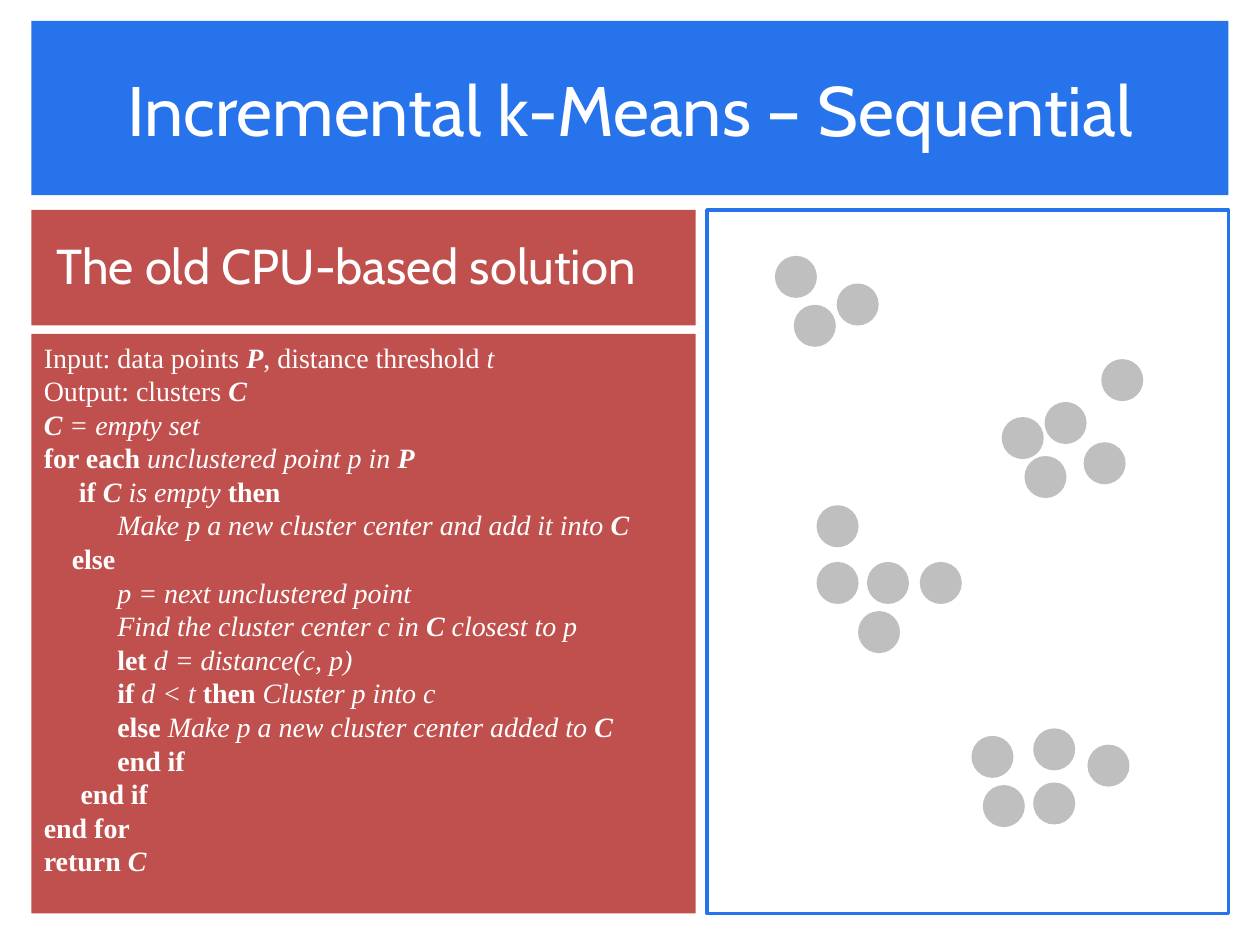
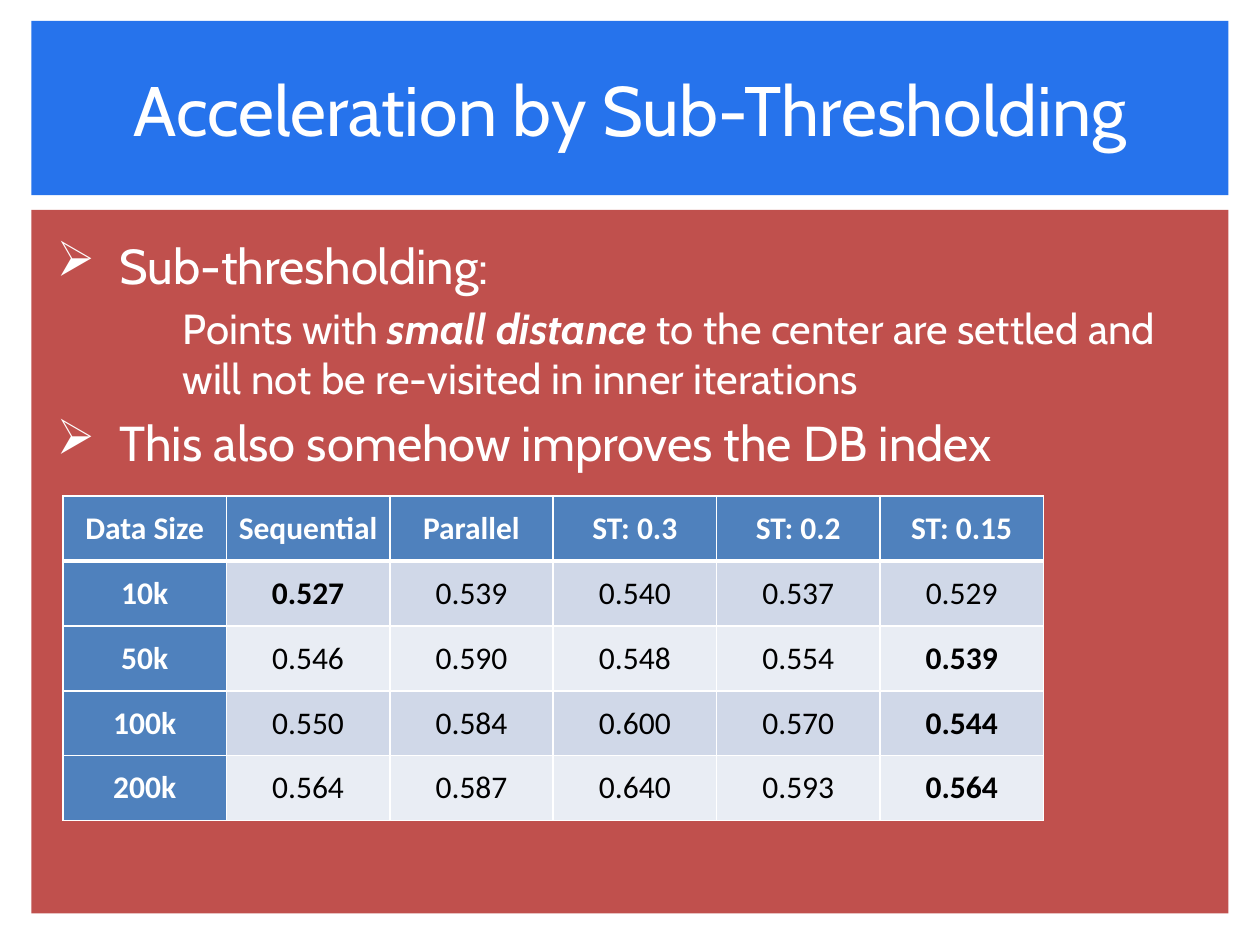
from dataclasses import dataclass
from typing import NamedTuple

from lxml import etree
from pptx import Presentation
from pptx.dml.color import RGBColor
from pptx.enum.shapes import MSO_SHAPE
from pptx.enum.text import MSO_ANCHOR, PP_ALIGN
from pptx.oxml.ns import qn
from pptx.util import Pt

RECTANGLE, OVAL = MSO_SHAPE.RECTANGLE, MSO_SHAPE.OVAL
TOP, MIDDLE = MSO_ANCHOR.TOP, MSO_ANCHOR.MIDDLE
LEFT, CENTER, JUSTIFY = PP_ALIGN.LEFT, PP_ALIGN.CENTER, PP_ALIGN.JUSTIFY

COLORS = {
    "blue": "2673EC", "red": "C0504D", "white": "FFFFFF", "black": "000000",
    "point": "BFBFBF", "header": "4F81BD", "odd_row": "D0D8E8", "even_row": "E9EDF4",
}
STYLES = {
    "": {"bold": False, "italic": False},
    "b": {"bold": True, "italic": False},
    "i": {"bold": False, "italic": True},
    "bi": {"bold": True, "italic": True},
}


class Box(NamedTuple):
    left: float
    top: float
    width: float
    height: float


class Insets(NamedTuple):
    left: float
    top: float
    right: float
    bottom: float


class Span(NamedTuple):
    text: str
    style: str = ""


@dataclass(frozen=True)
class TextFormat:
    font: str
    size: float
    align: PP_ALIGN = LEFT
    color: str = "white"
    line_spacing: float | None = None
    space_before: float = 0


@dataclass(frozen=True)
class Line:
    spans: list[Span]
    format: TextFormat
    indent: float = 0
    bullet: str = ""


TITLE = TextFormat("Cabin", 40, CENTER)
BODY = TextFormat("Cabin", 28, space_before=5.6)
DETAIL = TextFormat("Cabin", 24, space_before=4.8)
CODE = TextFormat("Times New Roman", 16, JUSTIFY, line_spacing=19.2)
TABLE_HEAD = TextFormat("Calibri", 18, CENTER)
TABLE_VALUE = TextFormat("Calibri", 18, CENTER, "black")

TITLE_BOX = Box(18, 12, 684, 99.5)
BODY_BOX = Box(18, 120, 684, 402)
HEADING_BOX = Box(18, 120, 379.5, 66)
CODE_BOX = Box(18, 190.8, 379.5, 331.2)
PLOT_BOX = Box(404, 120, 298, 402)
TABLE_BOX = Box(36, 283.5, 560.4, 185.5)
TITLE_INSETS = Insets(14.4, 3.6, 14.4, 3.6)
BODY_INSETS = Insets(14.4, 14.4, 14.4, 14.4)
CODE_INSETS = Insets(7.2, 3.6, 7.2, 3.6)
CELL_INSETS = Insets(5.2, 0, 5.2, 0)

DEEP = 42
ALGORITHM = [
    (0, [("Input: data points ", ""), ("P", "bi"), (", distance threshold ", ""), ("t", "i")]),
    (0, [("Output: clusters ", ""), ("C", "bi")]),
    (0, [("C", "bi"), (" = empty set", "i")]),
    (0, [("for each", "b"), (" unclustered point p in ", "i"), ("P", "bi")]),
    (20, [("if ", "b"), ("C ", "bi"), ("is empty ", "i"), ("then", "b")]),
    (DEEP, [("Make p a new cluster center and add it into ", "i"), ("C", "bi")]),
    (16, [("else", "b")]),
    (DEEP, [("p = next unclustered point", "i")]),
    (DEEP, [("Find the cluster center c in ", "i"), ("C", "bi"), (" closest to p", "i")]),
    (DEEP, [("let", "b"), (" d = distance(c, p)", "i")]),
    (DEEP, [("if ", "b"), ("d < t ", "i"), ("then ", "b"), ("Cluster p into c", "i")]),
    (DEEP, [("else ", "b"), ("Make p a new cluster center added to ", "i"), ("C", "bi")]),
    (DEEP, [("end if", "b")]),
    (21, [("end if", "b")]),
    (0, [("end for", "b")]),
    (0, [("return ", "b"), ("C", "bi")]),
]

POINT_SIZE = 24
POINT_CLUSTERS = {
    "top left": [(442.8, 146.2), (478.1, 162), (453.6, 174.2)],
    "right": [(629.3, 205.2), (596.9, 229.7), (572.4, 238.3), (619.2, 252.7), (585.4, 260.6)],
    "middle": [(466.6, 288.7), (466.6, 321.1), (495.4, 321.1), (525.6, 321.1), (490.3, 349.2)],
    "bottom": [(590.4, 416.2), (555.1, 420.5), (621.4, 425.5), (590.4, 447.1), (561.6, 448.6)],
}

INDEX_TABLE = [
    ["Data Size", "Sequential", "Parallel", "ST: 0.3", "ST: 0.2", "ST: 0.15"],
    ["10k", "0.527", "0.539", "0.540", "0.537", "0.529"],
    ["50k", "0.546", "0.590", "0.548", "0.554", "0.539"],
    ["100k", "0.550", "0.584", "0.600", "0.570", "0.544"],
    ["200k", "0.564", "0.587", "0.640", "0.593", "0.564"],
]
BEST_CELLS = {(1, 1), (2, 5), (3, 5), (4, 5)}


def rgb(name: str) -> RGBColor:
    return RGBColor.from_string(COLORS[name])


def apply(target, values: dict) -> None:
    for name, value in values.items():
        setattr(target, name, value)


def margins(insets: Insets) -> dict:
    return {f"margin_{side}": Pt(size) for side, size in insets._asdict().items()}


def write_lines(frame, lines: list[Line]) -> None:
    for index, line in enumerate(lines):
        para = frame.add_paragraph() if index else frame.paragraphs[0]
        style = line.format
        apply(para, {
            "alignment": style.align,
            "space_before": Pt(style.space_before),
            "line_spacing": Pt(style.line_spacing) if style.line_spacing else None,
        })
        properties = para._p.get_or_add_pPr()
        properties.set("marL", str(Pt(line.indent)))
        properties.set("indent", str(Pt(-line.indent if line.bullet else 0)))
        if line.bullet:
            etree.SubElement(properties, qn("a:buChar"), char=line.bullet)
        for text, emphasis in line.spans:
            span = para.add_run()
            span.text = text
            apply(span.font, {"name": style.font, "size": Pt(style.size), **STYLES[emphasis]})
            span.font.color.rgb = rgb(style.color)


def add_panel(slide, kind: MSO_SHAPE, box: Box, fill: str = "", outline: str = ""):
    panel = slide.shapes.add_shape(kind, *map(Pt, box))
    panel.shadow.inherit = False
    if fill:
        panel.fill.solid()
        panel.fill.fore_color.rgb = rgb(fill)
    else:
        panel.fill.background()
    if outline:
        panel.line.color.rgb = rgb(outline)
        panel.line.width = Pt(2)
    else:
        panel.line.fill.background()
    return panel


def add_text_panel(slide, box: Box, fill: str, lines: list[Line],
                   insets: Insets, anchor: MSO_ANCHOR = TOP) -> None:
    frame = add_panel(slide, RECTANGLE, box, fill).text_frame
    apply(frame, {"word_wrap": True, "vertical_anchor": anchor, **margins(insets)})
    write_lines(frame, lines)


def add_titled_slide(deck, title: str):
    slide = deck.slides.add_slide(deck.slide_layouts[6])
    add_text_panel(slide, TITLE_BOX, "blue", [Line([Span(title)], TITLE)], TITLE_INSETS, MIDDLE)
    return slide


def add_borders(cell, widths: dict[str, float]) -> None:
    properties = cell._tc.get_or_add_tcPr()
    for position, (side, width) in enumerate(widths.items()):
        border = etree.Element(qn(f"a:ln{side}"), w=str(Pt(width)))
        fill = etree.SubElement(border, qn("a:solidFill"))
        etree.SubElement(fill, qn("a:srgbClr"), val=COLORS["white"])
        properties.insert(position, border)


def add_index_table(slide) -> None:
    row_count, column_count = len(INDEX_TABLE), len(INDEX_TABLE[0])
    table = slide.shapes.add_table(row_count, column_count, *map(Pt, TABLE_BOX)).table
    for column in table.columns:
        column.width = Pt(TABLE_BOX.width / column_count)
    for row in table.rows:
        row.height = Pt(TABLE_BOX.height / row_count)
    for row_index, values in enumerate(INDEX_TABLE):
        for column_index, value in enumerate(values):
            cell = table.cell(row_index, column_index)
            is_head = row_index == 0 or column_index == 0
            is_bold = is_head or (row_index, column_index) in BEST_CELLS
            row_fill = "odd_row" if row_index % 2 else "even_row"
            apply(cell, {"vertical_anchor": MIDDLE, **margins(CELL_INSETS)})
            cell.fill.solid()
            cell.fill.fore_color.rgb = rgb("header" if is_head else row_fill)
            add_borders(cell, {
                "L": 1, "R": 1,
                "T": 3 if row_index == 1 else 1,
                "B": 3 if row_index == 0 else 1,
            })
            span = Span(value, "b" if is_bold else "")
            write_lines(cell.text_frame, [Line([span], TABLE_HEAD if is_head else TABLE_VALUE)])


def build_sequential_slide(deck) -> None:
    slide = add_titled_slide(deck, "Incremental k-Means – Sequential")
    heading = Line([Span("The old CPU-based solution")], BODY)
    add_text_panel(slide, HEADING_BOX, "red", [heading], BODY_INSETS)
    code = [Line([Span(*part) for part in parts], CODE, indent) for indent, parts in ALGORITHM]
    add_text_panel(slide, CODE_BOX, "red", code, CODE_INSETS)
    add_panel(slide, RECTANGLE, PLOT_BOX, outline="blue")
    for points in POINT_CLUSTERS.values():
        for left, top in points:
            add_panel(slide, OVAL, Box(left, top, POINT_SIZE, POINT_SIZE), "point")


def build_threshold_slide(deck) -> None:
    slide = add_titled_slide(deck, "Acceleration by Sub-Thresholding")
    explanation = [
        Span("Points with "),
        Span("small distance ", "bi"),
        Span("to the center are settled and will not be re-visited in inner iterations"),
    ]
    add_text_panel(slide, BODY_BOX, "red", [
        Line([Span("Sub-thresholding:")], BODY, 36, "➢"),
        Line(explanation, DETAIL, 72),
        Line([Span("This also somehow improves the DB index")], BODY, 36, "➢"),
    ], BODY_INSETS)
    add_index_table(slide)


def main() -> None:
    deck = Presentation()
    apply(deck, {"slide_width": Pt(720), "slide_height": Pt(540)})
    build_sequential_slide(deck)
    build_threshold_slide(deck)
    deck.save("out.pptx")


if __name__ == "__main__":
    main()
